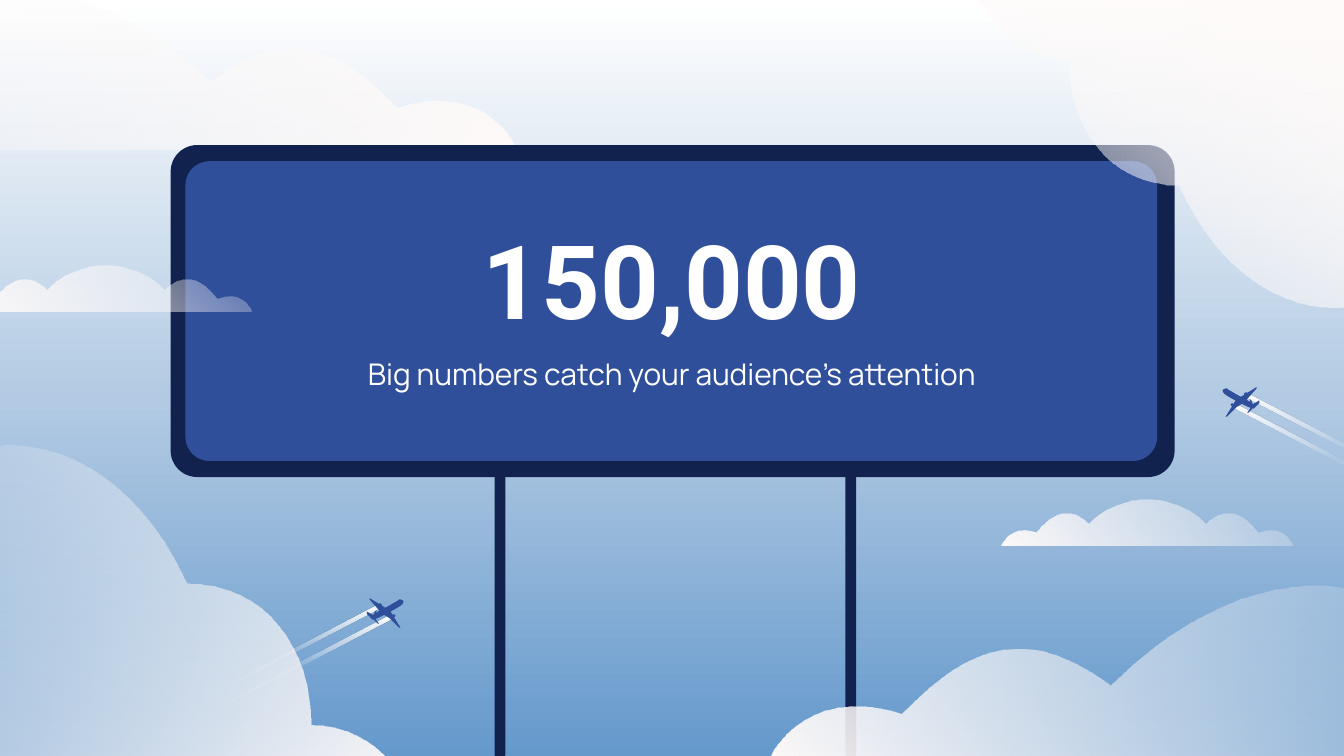
from typing import NamedTuple

from lxml import etree
from pptx import Presentation
from pptx.dml.color import RGBColor
from pptx.enum.shapes import MSO_SHAPE
from pptx.enum.text import MSO_ANCHOR, PP_ALIGN
from pptx.oxml.ns import qn
from pptx.util import Emu, Pt

ROUNDED = MSO_SHAPE.ROUNDED_RECTANGLE
MIDDLE, TOP = MSO_ANCHOR.MIDDLE, MSO_ANCHOR.TOP
CENTER = PP_ALIGN.CENTER

EMU_PER_PX = 9144  # 100 px to the inch
NAVY, BLUE, WHITE, CREAM = "11224E", "304F9B", "FFFFFF", "FEFAF9"

Point = tuple[float, float]


class Stop(NamedTuple):
    position: int
    color: str
    opacity: int = 100


class Cloud(NamedTuple):
    outline: list[Point]
    x: int
    y: int
    across: float
    up: float
    angle: int


class Panel(NamedTuple):
    x: int
    y: int
    width: int
    height: int
    color: str
    rounding: float


class Caption(NamedTuple):
    text: str
    x: int
    y: int
    width: int
    height: int
    font: str
    size: int
    bold: bool
    anchor: MSO_ANCHOR


class Plane(NamedTuple):
    x: int
    y: int
    facing: int


SKY = [Stop(0, "6599CC"), Stop(47, "B2CAE3"), Stop(100, WHITE)]
MIST = [Stop(0, CREAM, 19), Stop(100, CREAM)]
VAPOUR = [Stop(0, WHITE), Stop(50, CREAM, 10), Stop(100, CREAM, 0)]

# Cloud outlines: a start point, then three points per Bezier curve, y upwards
WIDE = [(0, 128), (0, 128), (79, 150), (174, 56), (246, 110), (290, 74),
        (329, 35), (405, 59), (428, 0), (428, 0)]
TALL = [(0, 258), (0, 258), (85, 272), (139, 156), (198, 156), (231, 107),
        (231, 51), (283, 51), (306, 0), (306, 0)]
PUFF_LEFT = [(109, 34), (93, 34), (76, 28), (65, 16), (59, 22), (53, 24), (48, 24),
             (39, 24), (32, 17), (26, 10), (22, 11), (19, 12), (17, 12),
             (4, 12), (0, 0), (0, 0)]
PUFF = [(217 - x, y) for x, y in reversed(PUFF_LEFT)] + PUFF_LEFT[1:]
BACK_SCALE = 384 / 428
CORNER_SCALE = -271 / 306

BACK_CLOUD = Cloud(WIDE, 0, 111, BACK_SCALE, BACK_SCALE, 45)
FRONT_CLOUDS = [
    Cloud(WIDE, 1000, 566, -1, 1, 135),
    Cloud(TALL, 1000, 0, CORNER_SCALE, CORNER_SCALE, 315),
    Cloud(TALL, 0, 590, 1, 1, 45),
    Cloud(PUFF, 745, 406, 1, 1, 135),
    Cloud(PUFF, -30, 232, 1, 1, 135),
]

BILLBOARD = [
    Panel(368, 231, 8, 332, NAVY, 0.17),
    Panel(629, 231, 8, 332, NAVY, 0.17),
    Panel(127, 108, 747, 247, NAVY, 0.08),
    Panel(138, 120, 723, 223, BLUE, 0.08),
]

CAPTIONS = [
    Caption("150,000", 170, 159, 660, 97, "Roboto", 55, True, MIDDLE),
    Caption("Big numbers catch your audience’s attention",
            211, 255, 578, 47, "Manrope", 16, False, TOP),
]

# Plane parts, measured from the tail end of the trails
TRAILS = [
    [(1, 83), (0, 80), (144, 5), (146, 8)],
    [(9, 92), (7, 89), (152, 13), (154, 16)],
]
FUSELAGE = [(140, 16), (142, 16), (146, 14), (146, 14), (146, 14), (160, 7), (162, 5),
            (164, 3), (163, 2), (163, 2), (163, 2), (162, 1), (161, 1),
            (161, 1), (161, 1), (160, 1), (160, 1), (159, 2), (159, 2),
            (157, 3), (149, 8), (146, 9), (144, 10), (142, 12), (140, 13)]
ENGINE = [(156, 12), (156, 12), (156, 12), (156, 12), (155, 12), (155, 12), (155, 13),
          (155, 14), (155, 14), (156, 14), (156, 14), (157, 14), (157, 14),
          (158, 13), (157, 12), (156, 12)]
CURVED_PARTS = [FUSELAGE, ENGINE, [(x - 10, y - 8) for x, y in ENGINE]]
FLAT_PARTS = [
    [(153, 9), (148, 12), (153, 15), (160, 22), (161, 22)],
    [(142, 15), (141, 16), (144, 19), (145, 19)],
    [(138, 0), (138, 1), (145, 9), (147, 12), (151, 8)],
    [(136, 10), (136, 12), (140, 16), (141, 13)],
    [(143, 9), (142, 10), (141, 13), (143, 11)],
    [(155, 12), (154, 13), (155, 14)],
    [(146, 4), (145, 4), (146, 5)],
]
PLANES = [Plane(137, 445, 1), Plane(1073, 288, -1)]


def px(length: float) -> Emu:
    return Emu(round(length * EMU_PER_PX))


def rgb(color: str) -> RGBColor:
    return RGBColor.from_string(color)


def set_gradient(parent, stops: list[Stop], angle: int) -> None:
    """Replace the solid fill in parent by a linear gradient, clockwise angle."""
    gradient = etree.Element(qn("a:gradFill"), rotWithShape="1")
    stop_list = etree.SubElement(gradient, qn("a:gsLst"))
    for stop in stops:
        mark = etree.SubElement(stop_list, qn("a:gs"), pos=str(stop.position * 1000))
        color = etree.SubElement(mark, qn("a:srgbClr"), val=str(rgb(stop.color)))
        if stop.opacity < 100:
            etree.SubElement(color, qn("a:alpha"), val=str(stop.opacity * 1000))
    etree.SubElement(gradient, qn("a:lin"), ang=str(angle * 60000), scaled="0")
    parent.replace(parent.find(qn("a:solidFill")), gradient)


def paint(shape, color: str) -> None:
    shape.shadow.inherit = False
    shape.fill.solid()
    shape.fill.fore_color.rgb = rgb(color)
    shape.line.fill.background()


def bend(outline, curves: int) -> None:
    """Merge the leading line segments, three at a time, into Bezier curves."""
    lines = list(outline.element.iter(qn("a:lnTo")))
    for first in range(0, curves * 3, 3):
        curve = etree.Element(qn("a:cubicBezTo"))
        lines[first].addprevious(curve)
        for line in lines[first:first + 3]:
            curve.append(line[0])
            line.getparent().remove(line)


def add_outline(shapes, points: list[Point], color: str, curves: int = 0):
    corners = [(px(x), px(y)) for x, y in points]
    builder = shapes.build_freeform(*corners[0])
    builder.add_line_segments(corners[1:], close=True)
    outline = builder.convert_to_shape()
    bend(outline, curves)
    paint(outline, color)
    return outline


def add_cloud(shapes, cloud: Cloud) -> None:
    placed = [(cloud.x + x * cloud.across, cloud.y - y * cloud.up)
              for x, y in cloud.outline + [(0, 0)]]
    shape = add_outline(shapes, placed, CREAM, len(cloud.outline) // 3)
    set_gradient(shape.element.spPr, MIST, cloud.angle)


def add_panel(shapes, panel: Panel) -> None:
    shape = shapes.add_shape(ROUNDED, px(panel.x), px(panel.y),
                             px(panel.width), px(panel.height))
    shape.adjustments[0] = panel.rounding
    paint(shape, panel.color)


def add_plane(shapes, plane: Plane) -> None:
    def place(points: list[Point]) -> list[Point]:
        return [(plane.x + plane.facing * x, plane.y + y) for x, y in points]

    parts = shapes.add_group_shape().shapes
    for trail in TRAILS:
        shape = add_outline(parts, place(trail), WHITE)
        set_gradient(shape.element.spPr, VAPOUR, 90)
    for part in CURVED_PARTS:
        add_outline(parts, place(part), BLUE, len(part) // 3)
    for part in FLAT_PARTS:
        add_outline(parts, place(part), BLUE)


def add_caption(shapes, caption: Caption) -> None:
    frame = shapes.add_textbox(px(caption.x), px(caption.y),
                               px(caption.width), px(caption.height)).text_frame
    frame.word_wrap = True
    frame.vertical_anchor = caption.anchor
    frame.margin_left = frame.margin_right = frame.margin_top = frame.margin_bottom = px(10)
    paragraph = frame.paragraphs[0]
    paragraph.alignment = CENTER
    run = paragraph.add_run()
    run.text = caption.text
    run.font.name, run.font.size, run.font.bold = caption.font, Pt(caption.size), caption.bold
    run.font.color.rgb = rgb(WHITE)


def main() -> None:
    deck = Presentation()
    deck.slide_width = px(1000)
    deck.slide_height = deck.slide_width * 9 // 16
    slide = deck.slides.add_slide(deck.slide_layouts[6])
    slide.background.fill.solid()
    set_gradient(slide.element.find(".//" + qn("p:bgPr")), SKY, 270)

    shapes = slide.shapes
    add_cloud(shapes, BACK_CLOUD)
    for panel in BILLBOARD:
        add_panel(shapes, panel)
    for cloud in FRONT_CLOUDS:
        add_cloud(shapes, cloud)
    left_plane, right_plane = PLANES
    add_plane(shapes, left_plane)
    for caption in CAPTIONS:
        add_caption(shapes, caption)
    add_plane(shapes, right_plane)
    deck.save("out.pptx")


if __name__ == "__main__":
    main()
